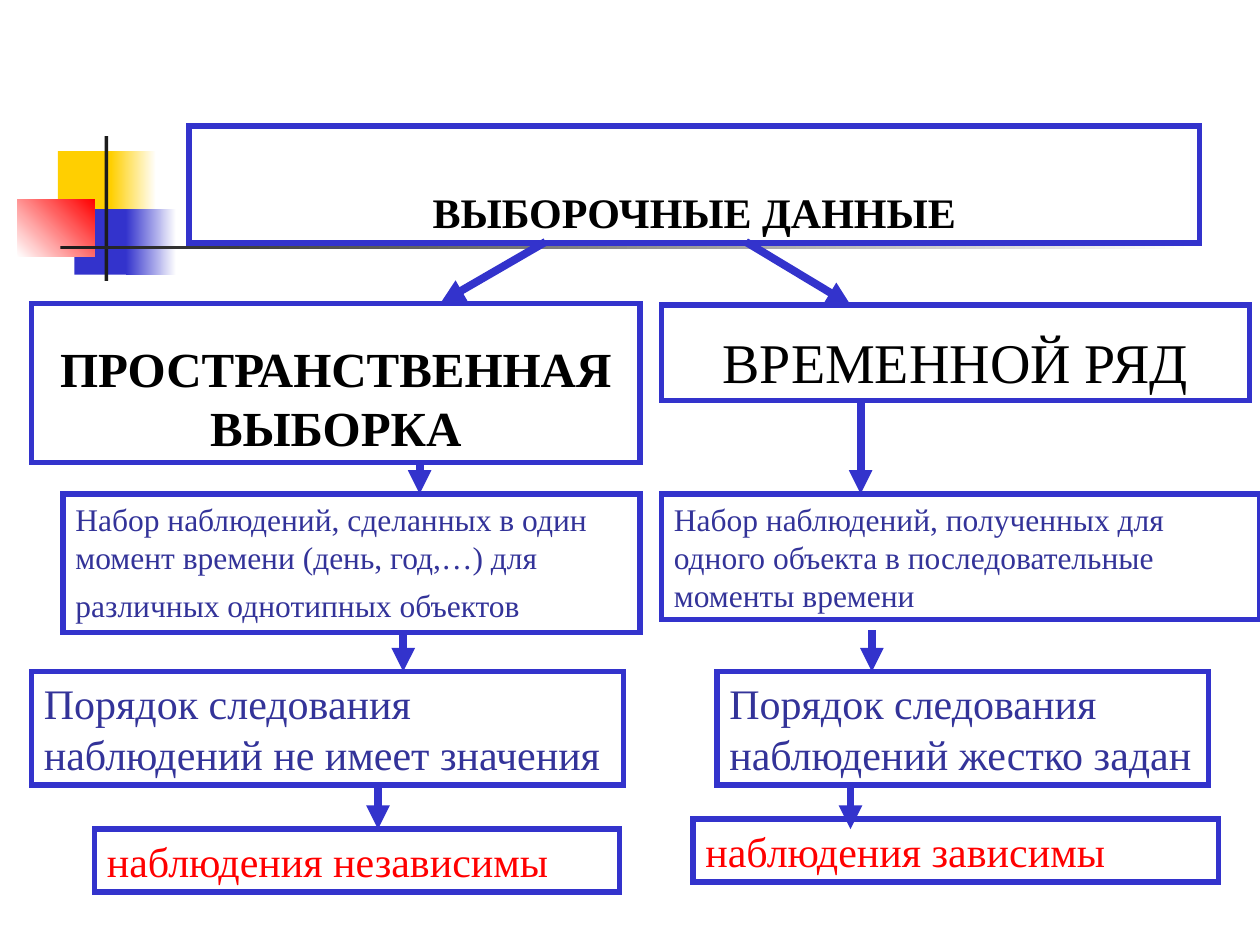
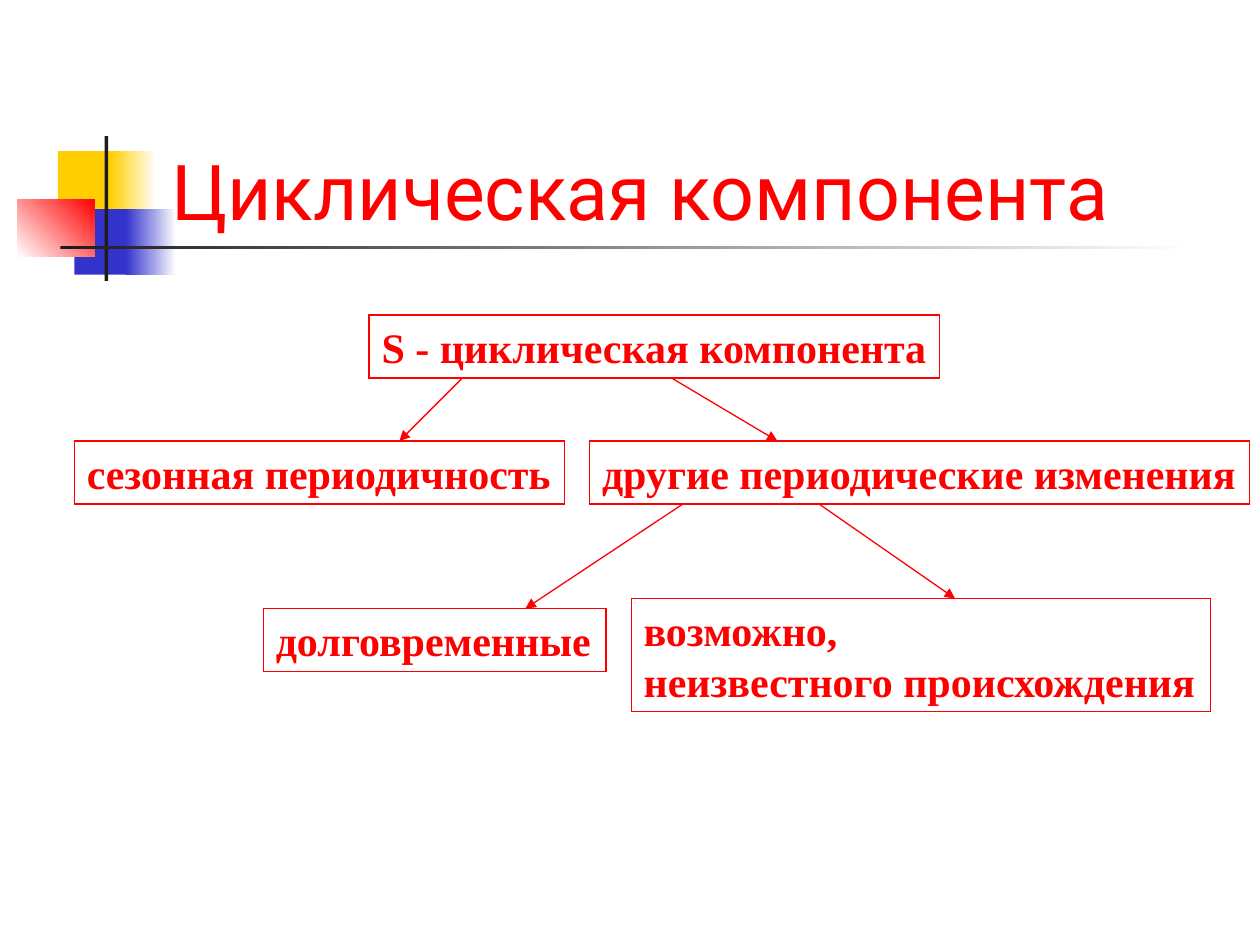
from dataclasses import dataclass

from lxml.etree import SubElement
from pptx import Presentation
from pptx.dml.color import RGBColor
from pptx.enum.shapes import MSO_CONNECTOR as Connector
from pptx.enum.shapes import MSO_SHAPE as Preset
from pptx.enum.text import MSO_ANCHOR as Anchor
from pptx.enum.text import PP_ALIGN as Align
from pptx.oxml.ns import qn
from pptx.util import Inches, Pt

PIXEL = Inches(0.01)
BODY_FONT = "Times New Roman"
TITLE_FONT = "Roboto"
COLOURS = {
    "white": "FFFFFF",
    "black": "000000",
    "ink": "1C1C1C",
    "yellow": "FFCF01",
    "blue": "3333CC",
    "navy": "333399",
    "red": "FF0000",
}


@dataclass(frozen=True)
class Block:
    left: int
    top: int
    width: int
    height: int
    colour: str
    end_colour: str = ""
    angle: int = 0


@dataclass(frozen=True)
class Box:
    left: int
    top: int
    width: int
    height: int
    text: str
    size: int = 24
    colour: str = "red"
    bold: bool = False
    heading: bool = False
    wrap: bool = True
    tail_size: int = 0


@dataclass(frozen=True)
class Arrow:
    start_x: int
    start_y: int
    end_x: int
    end_y: int


@dataclass(frozen=True)
class Diagram:
    line_colour: str
    box_line: float
    arrow_line: float
    boxes: list[Box]
    arrows: list[Arrow]
    title: str = ""


DECORATION = [
    Block(46, 120, 48, 52, "yellow"),
    Block(88, 120, 36, 52, "yellow", "white"),
    Block(59, 166, 46, 52, "blue"),
    Block(100, 166, 40, 52, "blue", "white"),
    Block(14, 158, 61, 46, "white", "red", 45),
    Block(83, 108, 3, 115, "ink"),
    Block(48, 195, 900, 3, "ink", "white"),
]

SAMPLE_DATA = Diagram(
    line_colour="blue",
    box_line=3,
    arrow_line=4.5,
    boxes=[
        Box(150, 100, 802, 93, "ВЫБОРОЧНЫЕ ДАННЫЕ", 24, "black", bold=True, heading=True),
        Box(25, 241, 483, 126, "ПРОСТРАНСТВЕННАЯ ВЫБОРКА", 28, "black", bold=True, heading=True),
        Box(525, 242, 467, 76, "ВРЕМЕННОЙ РЯД", 32, "black", heading=True),
        Box(50, 392, 458, 110,
            "Набор наблюдений, сделанных в один момент времени (день, год,…) "
            "для различных однотипных объектов", 18, "navy", tail_size=24),
        Box(525, 392, 475, 100,
            "Набор наблюдений, полученных для одного объекта "
            "в последовательные моменты времени", 18, "navy"),
        Box(25, 533, 470, 90, "Порядок следования\nнаблюдений не имеет значения", colour="navy"),
        Box(569, 533, 390, 90, "Порядок следования\nнаблюдений жестко задан",
            colour="navy", wrap=False),
        Box(75, 658, 417, 50, "наблюдения независимы"),
        Box(550, 650, 417, 50, "наблюдения зависимы"),
    ],
    arrows=[
        Arrow(433, 192, 350, 240),
        Arrow(592, 192, 675, 242),
        Arrow(333, 367, 333, 392),
        Arrow(320, 500, 320, 533),
        Arrow(683, 317, 683, 392),
        Arrow(692, 500, 692, 533),
        Arrow(300, 625, 300, 658),
        Arrow(675, 625, 675, 658),
    ],
)

CYCLIC_COMPONENT = Diagram(
    title="Циклическая компонента",
    line_colour="red",
    box_line=0.75,
    arrow_line=0.75,
    boxes=[
        Box(left, top, width, height, text, bold=True, wrap=False)
        for left, top, width, height, text in [
            (293, 250, 453, 50, "S - циклическая компонента"),
            (59, 350, 389, 50, "сезонная периодичность"),
            (468, 350, 524, 50, "другие периодические изменения"),
            (209, 483, 272, 50, "долговременные"),
            (501, 475, 460, 90, "возможно,\nнеизвестного происхождения"),
        ]
    ],
    arrows=[
        Arrow(367, 300, 317, 350),
        Arrow(533, 300, 617, 350),
        Arrow(542, 400, 417, 483),
        Arrow(650, 400, 758, 475),
    ],
)


def rgb(name: str) -> RGBColor:
    return RGBColor.from_string(COLOURS[name])


def add_rectangle(slide, item: Block | Box):
    shape = slide.shapes.add_shape(
        Preset.RECTANGLE,
        item.left * PIXEL, item.top * PIXEL, item.width * PIXEL, item.height * PIXEL,
    )
    shape.shadow.inherit = False
    return shape


def draw_block(slide, block: Block) -> None:
    shape = add_rectangle(slide, block)
    shape.line.fill.background()
    if not block.end_colour:
        shape.fill.solid()
        shape.fill.fore_color.rgb = rgb(block.colour)
        return
    shape.fill.gradient()
    shape.fill.gradient_angle = block.angle
    for stop, colour in zip(shape.fill.gradient_stops, (block.colour, block.end_colour)):
        stop.color.rgb = rgb(colour)


def style_font(font, name: str, size: int, colour: str, bold: bool = False) -> None:
    font.name = name
    font.size = Pt(size)
    font.bold = bold
    font.color.rgb = rgb(colour)


def style_line(line, colour: str, width: float) -> None:
    line.color.rgb = rgb(colour)
    line.width = Pt(width)


def draw_box(slide, box: Box, line_colour: str, line_width: float) -> None:
    shape = add_rectangle(slide, box)
    shape.fill.background()
    style_line(shape.line, line_colour, line_width)
    SubElement(shape.line._get_or_add_ln(), qn("a:miter"), lim="800000")
    frame = shape.text_frame
    frame.word_wrap = box.wrap
    frame.vertical_anchor = Anchor.BOTTOM if box.heading else Anchor.TOP
    paragraph = frame.paragraphs[0]
    paragraph.text = box.text
    paragraph.alignment = Align.CENTER if box.heading else Align.LEFT
    style_font(paragraph.font, BODY_FONT, box.size, box.colour, box.bold)
    if box.tail_size:
        tail = paragraph.add_run()
        tail.text = " "
        tail.font.size = Pt(box.tail_size)


def draw_arrow(slide, arrow: Arrow, colour: str, width: float) -> None:
    connector = slide.shapes.add_connector(
        Connector.STRAIGHT,
        arrow.start_x * PIXEL, arrow.start_y * PIXEL,
        arrow.end_x * PIXEL, arrow.end_y * PIXEL,
    )
    style_line(connector.line, colour, width)
    SubElement(connector.line._get_or_add_ln(), qn("a:tailEnd"), type="triangle")
    SubElement(connector._element.spPr, qn("a:effectLst"))


def draw_title(slide, text: str) -> None:
    frame = slide.shapes.add_textbox(
        126 * PIXEL, 67 * PIXEL, 852 * PIXEL, 125 * PIXEL
    ).text_frame
    frame.word_wrap = True
    frame.vertical_anchor = Anchor.BOTTOM
    paragraph = frame.paragraphs[0]
    paragraph.text = text
    style_font(paragraph.font, TITLE_FONT, 44, "red")


def draw_slide(presentation, diagram: Diagram) -> None:
    slide = presentation.slides.add_slide(presentation.slide_layouts[6])
    for block in DECORATION:
        draw_block(slide, block)
    if diagram.title:
        draw_title(slide, diagram.title)
    for box in diagram.boxes:
        draw_box(slide, box, diagram.line_colour, diagram.box_line)
    for arrow in diagram.arrows:
        draw_arrow(slide, arrow, diagram.line_colour, diagram.arrow_line)


def main() -> None:
    presentation = Presentation()
    presentation.slide_width = 1000 * PIXEL
    presentation.slide_height = 750 * PIXEL
    for diagram in (SAMPLE_DATA, CYCLIC_COMPONENT):
        draw_slide(presentation, diagram)
    presentation.save("out.pptx")


if __name__ == "__main__":
    main()
